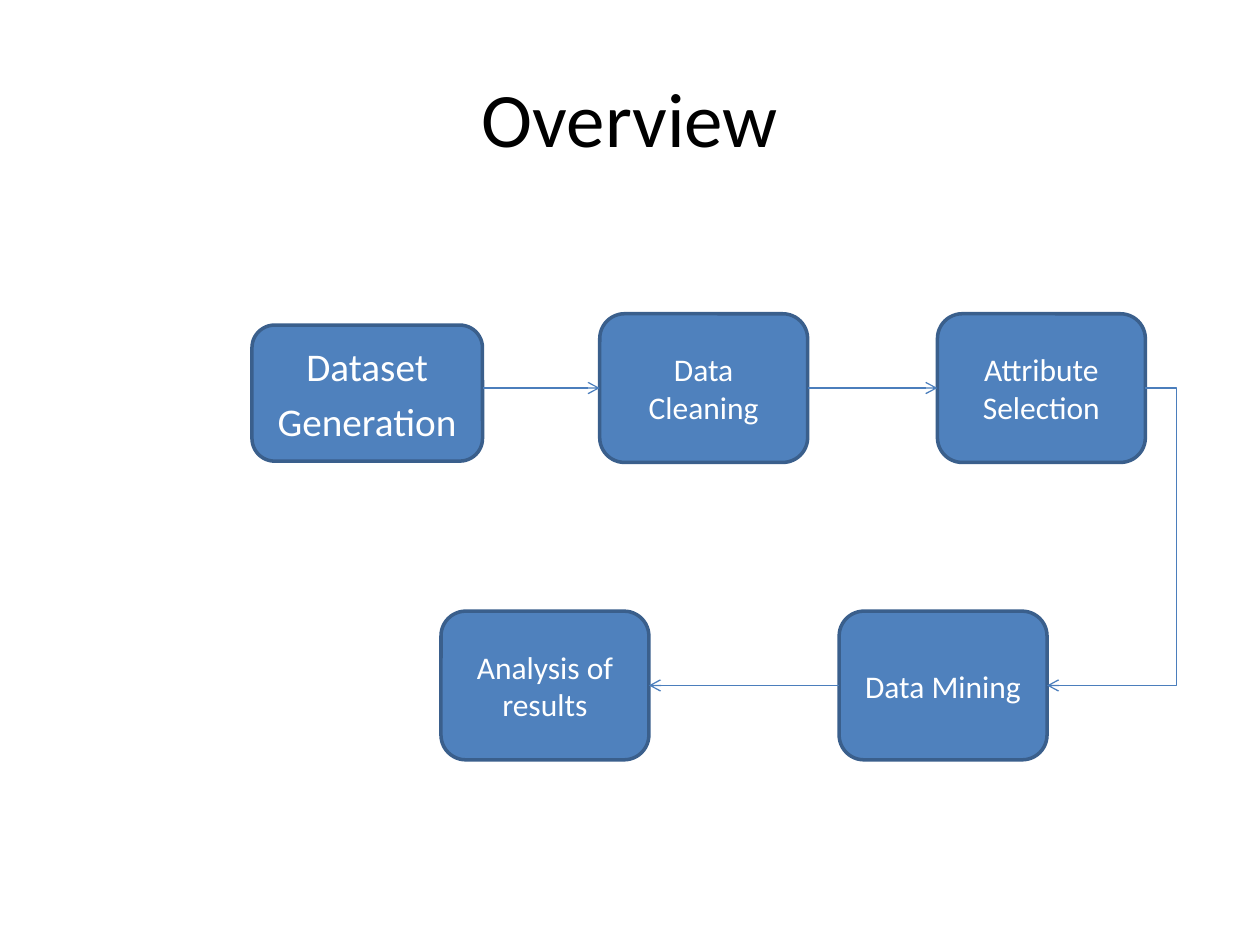
import pptx
import pptx.dml.color
import pptx.enum.shapes
import pptx.enum.text
import pptx.oxml
import pptx.oxml.ns
import pptx.util
from lxml import etree

COLORS = {"fill": "4F81BD", "border": "3A5F8C", "arrow": "4B7EBC",
          "title": "000000", "label": "FFFFFF"}
FONT = "Calibri"
WIDTH, HEIGHT = pptx.util.Inches(10), pptx.util.Inches(7.5)

# Shares of the slide, in percent
STEP_SIZE = (16.5, 15.73)
TOP_ROW, BOTTOM_ROW = 33.2, 64.67
RETURN_LANE = 93.4


def across(percent):
    """Turn a share of the slide width into a length."""
    return round(WIDTH * percent / 100)


def down(percent):
    """Turn a share of the slide height into a length."""
    return round(HEIGHT * percent / 100)


def color(name):
    """Look up a named colour."""
    return pptx.dml.color.RGBColor.from_string(COLORS[name])


def write(frame, text, size, color_name, space_before=0):
    """Set centred text and format all of its runs."""
    frame.text = text
    frame.word_wrap = True
    frame.vertical_anchor = pptx.enum.text.MSO_ANCHOR.MIDDLE
    for para in frame.paragraphs:
        para.alignment = pptx.enum.text.PP_ALIGN.CENTER
        para.space_before = pptx.util.Pt(space_before)
        for span in para.runs:
            span.font.name = FONT
            span.font.size = pptx.util.Pt(size)
            span.font.color.rgb = color(color_name)


def add_title(page, text):
    """Place and format the title placeholder."""
    title = page.shapes.title
    title.left, title.top = across(5), down(4)
    title.width, title.height = across(90), down(16.67)
    write(title.text_frame, text, 44, "title")


def add_step(page, text, left, top, extent=STEP_SIZE, size=18, space_before=0):
    """Add one rounded process box."""
    box = page.shapes.add_shape(
        pptx.enum.shapes.MSO_SHAPE.ROUNDED_RECTANGLE,
        across(left), down(top), across(extent[0]), down(extent[1]))
    box.shadow.inherit = False
    box.fill.solid()
    box.fill.fore_color.rgb = color("fill")
    box.line.color.rgb = color("border")
    box.line.width = pptx.util.Pt(2)
    write(box.text_frame, text, size, "label", space_before)
    return box


def add_arrow(page, start, end, lane=None):
    """Join two points with an arrow, bent through a vertical lane if given."""
    kinds = pptx.enum.shapes.MSO_CONNECTOR
    arrow = page.shapes.add_connector(
        kinds.STRAIGHT if lane is None else kinds.ELBOW, *start, *end)
    arrow.line.color.rgb = color("arrow")
    arrow.line.width = pptx.util.Pt(0.75)
    qn = pptx.oxml.ns.qn
    properties = arrow.element.spPr
    etree.SubElement(properties.find(qn("a:ln")), qn("a:tailEnd"), type="arrow")
    etree.SubElement(properties, qn("a:effectLst"))
    if lane is not None:
        bend = round(100000 * (lane - start[0]) / (end[0] - start[0]))
        guides = properties.find(qn("a:prstGeom")).get_or_add_avLst()
        etree.SubElement(guides, qn("a:gd"), name="adj1", fmla=f"val {bend}")


def middle(box):
    """Give the height of the centre of a box."""
    return box.top + box.height // 2


def main():
    """Build the overview slide."""
    deck = pptx.Presentation()
    deck.slide_width, deck.slide_height = WIDTH, HEIGHT
    page = deck.slides.add_slide(deck.slide_layouts[5])
    add_title(page, "Overview")

    dataset = add_step(page, "Dataset\nGeneration", 20, 34.4, (18.3, 14.4), 22.4, 4.5)
    cleaning = add_step(page, "Data Cleaning", 47.6, TOP_ROW)
    selection = add_step(page, "Attribute Selection", 74.4, TOP_ROW)
    mining = add_step(page, "Data Mining", 66.6, BOTTOM_ROW)
    analysis = add_step(page, "Analysis of results", 35, BOTTOM_ROW)

    upper, lower = middle(cleaning), middle(mining)
    for source, target in ((dataset, cleaning), (cleaning, selection)):
        add_arrow(page, (source.left + source.width, upper), (target.left, upper))
    add_arrow(page, (selection.left + selection.width, upper),
              (mining.left + mining.width, lower), across(RETURN_LANE))
    add_arrow(page, (mining.left, lower), (analysis.left + analysis.width, lower))

    deck.save("out.pptx")


main()
